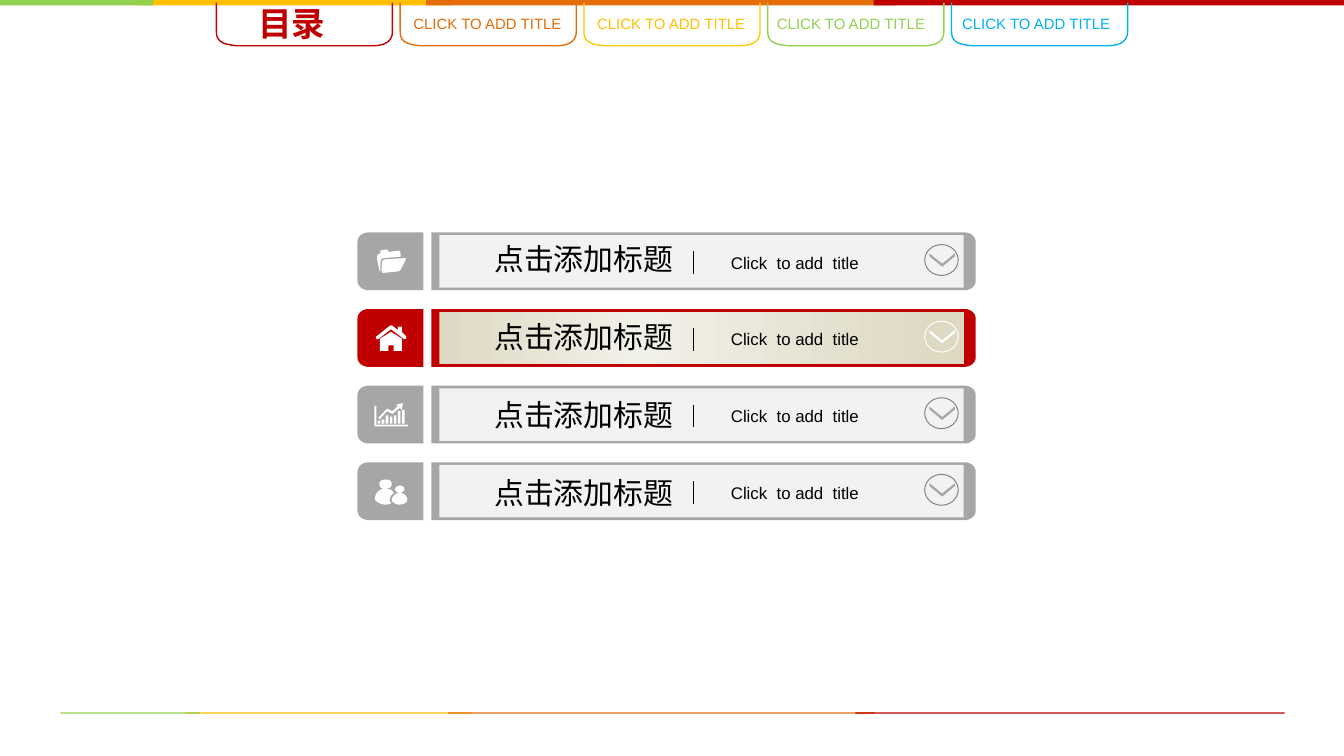
from copy import deepcopy
from lxml.etree import SubElement
from pptx import Presentation
from pptx.dml.color import RGBColor
from pptx.enum.shapes import MSO_CONNECTOR as Link, MSO_SHAPE as Kind
from pptx.enum.text import MSO_ANCHOR as Anchor, MSO_AUTO_SIZE as Fit, PP_ALIGN as Align
from pptx.oxml.ns import qn
from pptx.util import Inches, Pt

GREEN, YELLOW, ORANGE, RED = "92D050", "FFC000", "E46C0A", "C00000"
GREY, WHITE, BLACK = "A6A6A6", "FFFFFF", "000000"
LATIN, HAN = "Arial", "Noto Sans CJK SC"
TAB_LEFT, TAB_STEP = 1.61, 5.47 / 4
ROW_TOP, ROW_STEP, TILE_LEFT, BAR_LEFT = 1.73, 0.57, 2.66, 3.21
UNIT = 0.01

STRIPS = [(1.02, 2.34, YELLOW), (3.17, 3.49, ORANGE), (6.5, 3.51, RED), (0, 1.14, GREEN)]
TABS = [(ORANGE, ORANGE, 0), ("FFCC00", YELLOW, 0), (GREEN, GREEN, -0.03), ("00B0F0", "00B0F0", -0.02)]
TAB = [(131, 2), (131, 24), (131, 30, 126, 34, 117, 34), (15, 34), (3, 33, 0, 30, 0, 23), (0, 2)]
TILE = [(8, 0), (49, 0), (49, 43), (8, 43), (4, 43, 0, 40, 0, 36), (0, 7), (0, 3, 4, 0, 8, 0)]
BAR = [(0, 0), (397, 0), (401, 0, 405, 3, 405, 7), (405, 36), (405, 40, 401, 43, 397, 43), (0, 43)]
FOLDER = [
    [(32, 18), (32, 16), (32, 14, 31, 13.5, 30, 13.5), (23, 14.5), (23, 13, 22, 12.5, 21, 12.7),
     (18.5, 13), (17, 13, 17, 14, 17, 15.5), (15, 16, 14.5, 17, 14.5, 19.5), (16, 27),
     (16, 28, 16.5, 29, 17, 29), (17, 23), (17, 20, 18, 19, 20, 19)],
    [(35, 19), (20.5, 20), (19, 20, 18, 21, 18, 23), (18, 28.5), (18, 30, 18.5, 30, 20, 30),
     (30, 29), (31.5, 28.5, 32, 28, 32.5, 27), (35.5, 21), (36, 20, 36, 19, 35, 19)],
]
HOUSE = [
    [(16.7, 22), (25, 17), (33, 22), (33, 31), (27, 31), (27, 27), (23, 27), (23, 31), (16.7, 31)],
    [(36, 20), (33, 17), (33, 13), (30, 13), (30, 15.5), (26, 12.5), (25.5, 12, 24.5, 12, 24, 12.5),
     (14, 20.5), (13, 21, 14, 23, 15.5, 22.3), (25, 15), (34.5, 22.3), (36, 23, 37, 21, 36, 20)],
]
CHART = [
    [(12.5, 15), (14, 15), (14, 29), (37.5, 29), (37.5, 30.3), (12.5, 30.3)],
    [(15.5, 24), (22, 17), (26, 19), (30, 15), (29, 14), (34, 13), (33, 18), (31.5, 16.5),
     (26, 21), (22, 19), (16.5, 25)],
]
BAR_TOPS = [26, 25, 22, 23, 22, 19, 18]
PEOPLE = [
    [(25, 30), (24, 29), (24, 28), (24, 26, 25, 24, 27, 23), (27, 22, 25, 20.3, 24, 20), (22, 20),
     (23, 19), (25, 19, 25.5, 17.5, 25.5, 16), (25.5, 14, 24, 12.8, 21, 12.8),
     (18, 12.8, 16.3, 14, 16.3, 16), (16.3, 17.5, 17, 19, 18, 19), (19, 20), (18, 20),
     (15, 21, 13, 24, 13, 27), (13, 28), (15, 30, 18, 31.5, 21, 31.5), (22, 31.5, 24, 31, 25, 30.5)],
    [(33, 23), (32, 22.7), (33, 22.3), (34, 22, 35, 21, 35, 20), (35, 18.5, 33.5, 17.4, 31.5, 17.4),
     (30, 17.4, 28, 18.5, 28, 20), (28, 21, 28.5, 22, 30, 22.3), (31, 22.8), (30, 23),
     (29, 23, 28.5, 23.5, 28, 24), (27, 25, 25.5, 26, 25.5, 28), (25.5, 29, 26.5, 30, 27, 30),
     (28, 31, 30, 31.5, 31, 31.5), (34, 31.5, 35.5, 30.5, 37, 29), (37.5, 25.5, 35, 23.5, 33, 23)],
]


def tint(code):
    """Turn a hex string into a colour."""
    return RGBColor.from_string(code)


def paint(shape, fill=None, line=None, width=0.75):
    """Set fill and line of a shape, without shadow."""
    shape.shadow.inherit = False
    if fill:
        shape.fill.solid()
        shape.fill.fore_color.rgb = tint(fill)
    else:
        shape.fill.background()
    if line:
        shape.line.color.rgb = tint(line)
        shape.line.width = Pt(width)
    else:
        shape.line.fill.background()
    return shape


def block(slide, kind, box, fill=None, line=None, width=0.75):
    """Add a preset shape."""
    return paint(slide.shapes.add_shape(kind, *map(Inches, box)), fill, line, width)


def trace(steps, count=8):
    """Turn line points and Bezier steps into plain points."""
    spots = []
    for step in steps:
        if len(step) == 2:
            spots.append(step)
            continue
        (ax, ay), (bx, by, cx, cy, dx, dy) = spots[-1], step
        for k in range(1, count + 1):
            t = k / count
            u = 1 - t
            w = (u ** 3, 3 * u * u * t, 3 * u * t * t, t ** 3)
            spots.append(tuple(sum(a * b for a, b in zip(w, axis))
                               for axis in ((ax, bx, cx, dx), (ay, by, cy, dy))))
    return spots


def outline(slide, left, top, steps, fill=None, line=None):
    """Draw a freeform, closed when it is filled."""
    spots = [(Inches(left + x * UNIT), Inches(top + y * UNIT)) for x, y in trace(steps)]
    pen = slide.shapes.build_freeform(*spots[0])
    pen.add_line_segments(spots[1:], close=bool(fill))
    return paint(pen.convert_to_shape(), fill, line)


def write(frame, text, size, face, color, align, bold=False, wrap=False):
    """Write one run into a text frame."""
    frame.word_wrap, frame.auto_size = wrap, Fit.SHAPE_TO_FIT_TEXT
    frame.vertical_anchor = Anchor.TOP
    para = frame.paragraphs[0]
    para.alignment = align
    run = para.add_run()
    run.text = text
    font = run.font
    font.size, font.name, font.bold = Pt(size), face, bold
    font.color.rgb = tint(color)
    SubElement(run._r.get_or_add_rPr(), qn("a:ea"), typeface=face)


def label(slide, box, *style):
    """Add a text box."""
    write(slide.shapes.add_textbox(*map(Inches, box)).text_frame, *style)


def blend(shape, stops):
    """Give a shape a level gradient of any number of stops."""
    fill = shape.fill
    fill.gradient()
    fill.gradient_angle = 0
    group = shape._element.spPr.find(qn("a:gradFill")).find(qn("a:gsLst"))
    for _ in stops[2:]:
        group.append(deepcopy(group[-1]))
    for stop, (spot, code) in zip(fill.gradient_stops, stops):
        stop.position = spot
        stop.color.rgb = tint(code)


def rule(slide, x, top, end):
    """Draw a thin upright line."""
    line = slide.shapes.add_connector(Link.STRAIGHT, *map(Inches, (x, top, x, end)))
    line.line.color.rgb = tint(BLACK)
    line.line.width = Pt(0.5)
    SubElement(line._element.spPr, qn("a:effectLst"))


def strip(slide, left, top, scale, height):
    """Draw the four-colour strip."""
    for x, width, color in STRIPS:
        block(slide, Kind.RECTANGLE, (left + x * scale, top, width * scale, height), color)


def head(slide):
    """Draw the title tab and the four link tabs."""
    title = slide.shapes.title
    title.left, title.top, title.width, title.height = map(Inches, (1.82, -0.03, 0.89, 0.4))
    write(title.text_frame, "目录", 18, HAN, RED, Align.JUSTIFY, True, True)
    outline(slide, TAB_LEFT, 0, TAB, line=RED)
    for n, (edge, ink, shift) in enumerate(TABS, 1):
        left = TAB_LEFT + n * TAB_STEP
        outline(slide, left, 0, TAB, line=edge)
        label(slide, (left + shift, 0.06, 1.33, 0.24), "CLICK TO ADD TITLE", 8, LATIN, ink, Align.JUSTIFY)


def entry(slide, n, icon, live=False):
    """Draw one row: bar, texts, arrow badge and icon tile."""
    top = ROW_TOP + n * ROW_STEP
    color = RED if live else GREY
    outline(slide, BAR_LEFT, top, BAR, color)
    panel = block(slide, Kind.RECTANGLE, (3.27, top + 0.02, 3.9, 0.39), "F2F2F2")
    if live:
        blend(panel, [(0, "DDD9C3"), (0.38, "F2F1E8"), (0.95, "DDD9C3")])
    label(slide, (3.58, top + 0.01 * (n + 1), 1.55, 0.37), "点击添加标题", 16, HAN, BLACK, Align.LEFT)
    label(slide, (5.34, top + 0.1, 1.16, 0.25), "Click  to add  title", 9, LATIN, BLACK, Align.JUSTIFY)
    block(slide, Kind.OVAL, (6.88, top + 0.09, 0.25, 0.23), line=WHITE if live else "808080", width=0.5)
    arrow = block(slide, Kind.CHEVRON, (6.96, top + 0.11, 0.1, 0.19), WHITE if live else GREY)
    arrow.adjustments[0] = 0.78
    arrow.rotation = 90
    rule(slide, 5.16, top + 0.14, top + 0.31)
    outline(slide, TILE_LEFT, top, TILE, color)
    for part in icon:
        outline(slide, TILE_LEFT, top, part, WHITE)
    if icon is CHART:
        for k, peak in enumerate(BAR_TOPS):
            box = (TILE_LEFT + 0.15 + k * 0.03, top + peak * UNIT, 0.02, (28.3 - peak) * UNIT)
            block(slide, Kind.RECTANGLE, box, WHITE)


def main():
    """Build the slide and save it."""
    deck = Presentation()
    deck.slide_width = Inches(10)
    deck.slide_height = deck.slide_width * 9 // 16
    slide = deck.slides.add_slide(deck.slide_layouts[5])
    strip(slide, 0, 0, 1, 0.04)
    strip(slide, 0.45, 5.3, 0.91, 0.01)
    head(slide)
    for n, icon in enumerate((FOLDER, HOUSE, CHART, PEOPLE)):
        entry(slide, n, icon, icon is HOUSE)
    deck.save("out.pptx")


if __name__ == "__main__":
    main()
